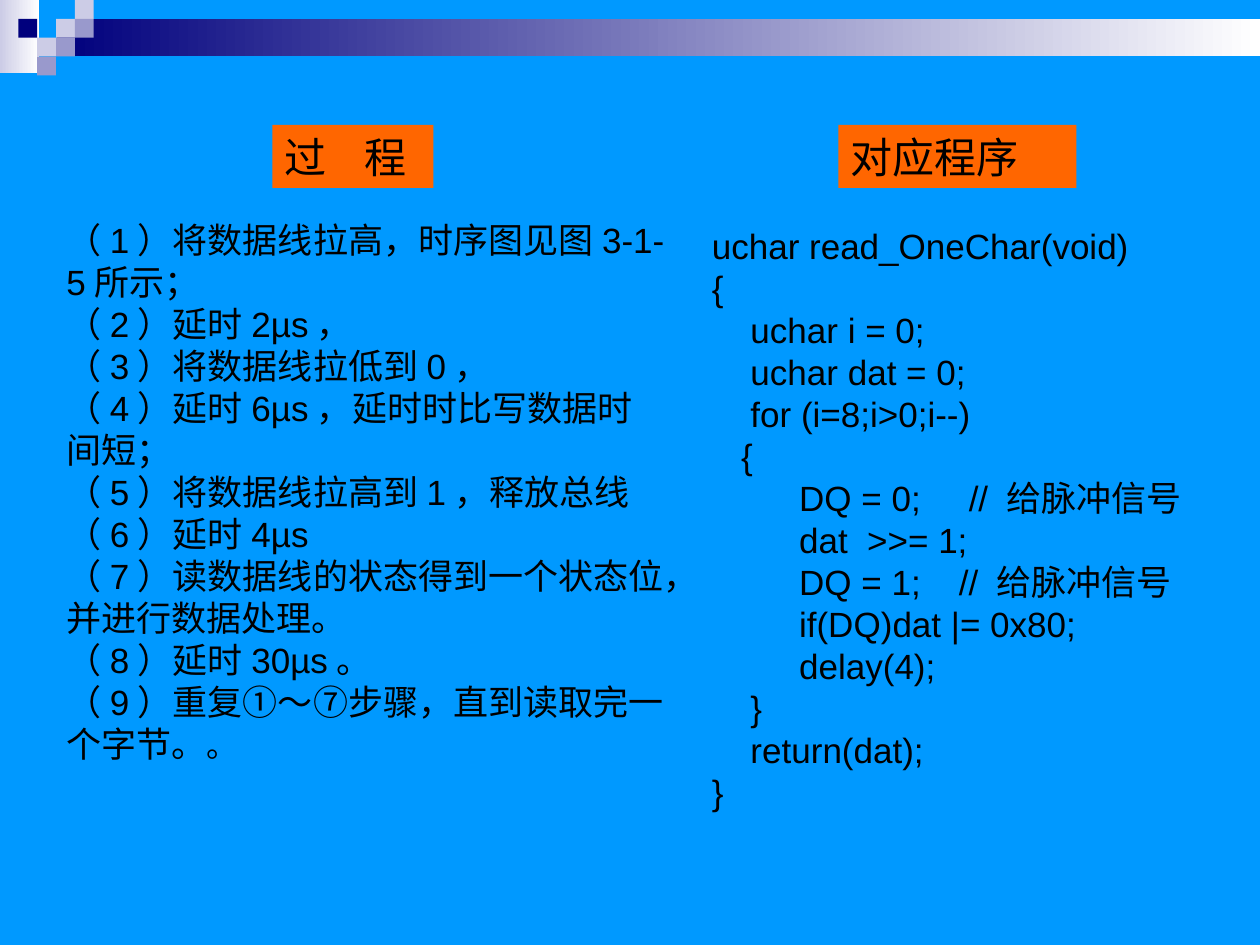
from lxml.etree import SubElement
from pptx import Presentation
from pptx.dml.color import RGBColor
from pptx.enum.shapes import MSO_SHAPE as Shape
from pptx.enum.text import MSO_ANCHOR as Anchor, PP_ALIGN as Align
from pptx.oxml.ns import qn
from pptx.util import Cm, Pt

SKY = RGBColor(0x00, 0x99, 0xFF)
ORANGE = RGBColor(0xFF, 0x66, 0x00)
NAVY = RGBColor(0x00, 0x00, 0x7D)
VIOLET = RGBColor(0x99, 0x99, 0xCC)
LAVENDER = RGBColor(0xCC, 0xCC, 0xE6)
WHITE = RGBColor(0xFF, 0xFF, 0xFF)
BLACK = RGBColor(0x00, 0x00, 0x00)

TILE = 0.38
# Column, row and colour of each tile in the corner mosaic
TILES = [
    (2, 1, LAVENDER), (3, 0, LAVENDER), (3, 1, VIOLET), (1, 2, LAVENDER),
    (0, 1, NAVY), (2, 2, VIOLET), (1, 3, VIOLET),
]

STEPS = [
    "（1）将数据线拉高，时序图见图3-1-5所示；",
    "（2）延时2µs，",
    "（3）将数据线拉低到0，",
    "（4）延时6µs，延时时比写数据时间短；",
    "（5）将数据线拉高到1，释放总线",
    "（6）延时4µs",
    "（7）读数据线的状态得到一个状态位，并进行数据处理。",
    "（8）延时30µs。",
    "（9）重复①～⑦步骤，直到读取完一个字节。",
]

# Tab stops in cm for the code indents
BRACE, BODY, LOOP = 0.59, 0.78, 1.76
CODE = [
    ("uchar read_OneChar(void)", []),
    ("{", []),
    ("\tuchar i = 0;", [BODY]),
    ("\tuchar dat = 0;", [BODY]),
    ("\tfor (i=8;i>0;i--)", [BODY]),
    ("\t{", [BRACE]),
    ("\tDQ = 0;\t// 给脉冲信号", [LOOP, 5.18]),
    ("\tdat  >>= 1;", [LOOP]),
    ("\tDQ = 1;\t// 给脉冲信号", [LOOP, 4.98]),
    ("\tif(DQ)dat |= 0x80;", [LOOP]),
    ("\tdelay(4);", [LOOP]),
    ("\t}", [BODY]),
    ("\treturn(dat);", [BODY]),
    ("}", []),
]


def add_block(slide, left, top, width, height, *colours):
    """Rectangle filled with one colour, or with a left-to-right gradient of two."""
    block = slide.shapes.add_shape(
        Shape.RECTANGLE, Cm(left), Cm(top), Cm(width), Cm(height))
    block.shadow.inherit = False
    block.line.fill.background()
    if len(colours) == 1:
        block.fill.solid()
        block.fill.fore_color.rgb = colours[0]
    else:
        block.fill.gradient()
        block.fill.gradient_angle = 0
        for stop, colour in zip(block.fill.gradient_stops, colours):
            stop.color.rgb = colour
    return block


def format_run(span, size):
    span.font.name = "Arial"
    span.font.size = Pt(size)
    span.font.color.rgb = BLACK


def write_lines(frame, lines, size):
    """Write (text, tab stops) pairs as left-aligned paragraphs."""
    frame.word_wrap = True
    for index, (text, stops) in enumerate(lines):
        para = frame.add_paragraph() if index else frame.paragraphs[0]
        para.text = text
        para.alignment = Align.LEFT
        if stops:
            tabs = SubElement(para._p.get_or_add_pPr(), qn("a:tabLst"))
            for stop in stops:
                SubElement(tabs, qn("a:tab"), pos=str(Cm(stop)), algn="l")
        for span in para.runs:
            format_run(span, size)


def add_banner(slide, left, top, width):
    # Gradient strips
    add_block(slide, left, top, 0.79, 1.47, LAVENDER, WHITE)
    add_block(slide, left + 3 * TILE, top + TILE, width - 3 * TILE, 2 * TILE,
              NAVY, WHITE)
    # Corner mosaic
    for column, row, colour in TILES:
        add_block(slide, left + 0.37 + column * TILE, top + row * TILE,
                  TILE, TILE, colour)


def add_heading(slide, left, top, width, text, stops):
    label = add_block(slide, left, top, width, 1.27, ORANGE)
    label.text_frame.vertical_anchor = Anchor.TOP
    write_lines(label.text_frame, [(text, stops)], 24)


def add_lines(slide, left, top, width, height, lines, anchor):
    box = slide.shapes.add_textbox(Cm(left), Cm(top), Cm(width), Cm(height))
    box.text_frame.vertical_anchor = anchor
    write_lines(box.text_frame, lines, 20)
    return box


def add_process(slide, left, top):
    add_heading(slide, left + 4.4, top, 3.25, "过\t程", [1.6])
    box = add_lines(slide, left, top + 1.75, 12.6, 11.28,
                    [(step, []) for step in STEPS], Anchor.MIDDLE)
    # Smaller closing mark
    span = box.text_frame.paragraphs[-1].add_run()
    span.text = "。"
    format_run(span, 18)


def add_program(slide, left, top):
    add_heading(slide, left + 2.8, top, 4.8, "对应程序", [])
    add_lines(slide, left, top + 1.88, 10.6, 12.12, CODE, Anchor.TOP)


def main():
    deck = Presentation()
    deck.slide_width, deck.slide_height = Cm(25.4), Cm(19.05)
    page = deck.slides.add_slide(deck.slide_layouts[6])
    page.background.fill.solid()
    page.background.fill.fore_color.rgb = SKY
    add_banner(page, 0, 0, 25.4)
    add_process(page, 1.09, 2.52)
    add_program(page, 14.1, 2.52)
    deck.save("out.pptx")


if __name__ == "__main__":
    main()
